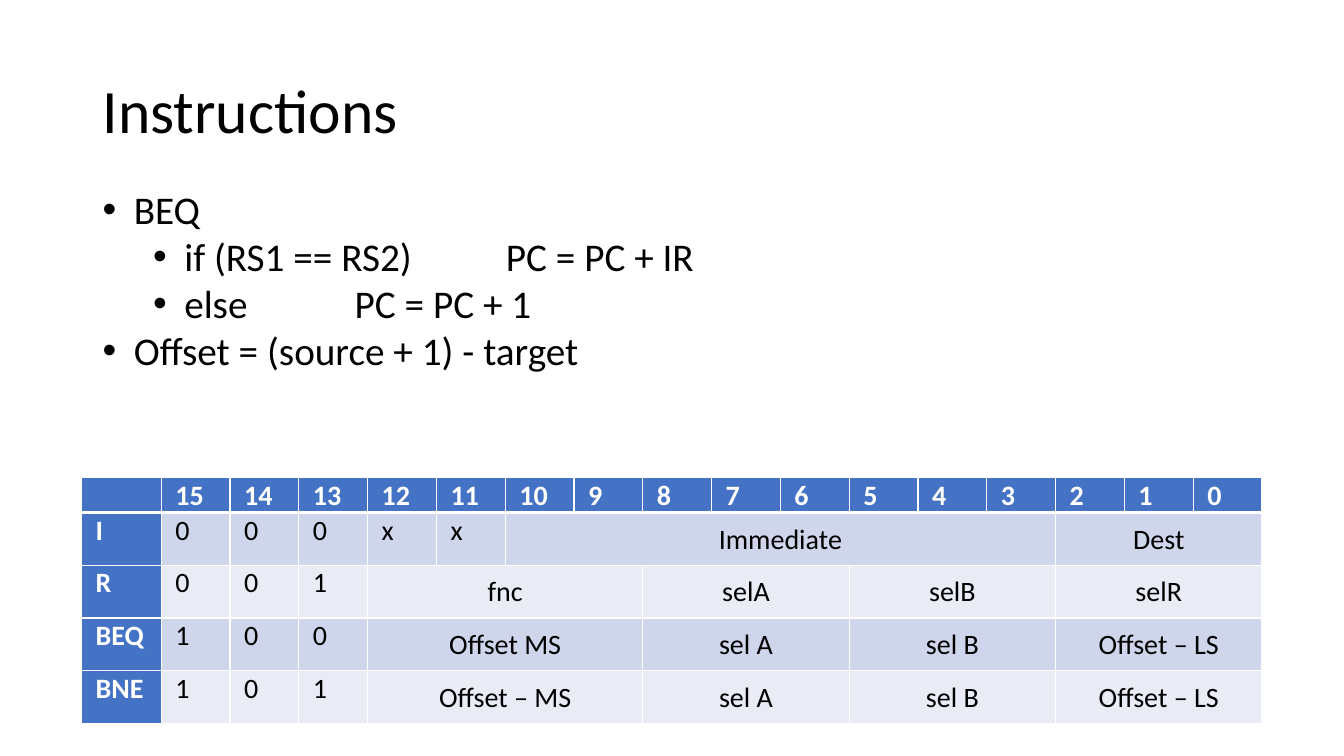
from lxml import etree
from pptx import Presentation
from pptx import util as u
from pptx.dml.color import RGBColor
from pptx.enum import text
from pptx.oxml import ns

BLACK = RGBColor(0x00, 0x00, 0x00)
WHITE = RGBColor(0xFF, 0xFF, 0xFF)
BLUE = RGBColor(0x44, 0x72, 0xC4)
BANDS = RGBColor(0xCF, 0xD5, 0xEA), RGBColor(0xE9, 0xEB, 0xF5)
FONT = "Calibri"

BULLETS = [
    (0, "BEQ"),
    (1, "if (RS1 == RS2)\t\tPC = PC + IR"),
    (1, "else\t\t\tPC = PC + 1"),
    (0, "Offset = (source + 1) - target"),
]

# Each field is its wording and the number of bits it takes up.
BITS = 16
FORMATS = [
    ("I", [("0", 1), ("0", 1), ("0", 1), ("x", 1), ("x", 1),
           ("Immediate", 8), ("Dest", 3)]),
    ("R", [("0", 1), ("0", 1), ("1", 1),
           ("fnc", 4), ("selA", 3), ("selB", 3), ("selR", 3)]),
    ("BEQ", [("1", 1), ("0", 1), ("0", 1), ("Offset MS", 4),
             ("sel A", 3), ("sel B", 3), ("Offset – LS", 3)]),
    ("BNE", [("1", 1), ("0", 1), ("1", 1), ("Offset – MS", 4),
             ("sel A", 3), ("sel B", 3), ("Offset – LS", 3)]),
]
LABEL_WIDTH = u.Inches(0.79)
HEADER_HEIGHT, FORMAT_HEIGHT = u.Inches(0.33), u.Inches(0.52)


def add_run(paragraph, wording, size, color=BLACK, bold=False):
    run = paragraph.add_run()
    run.text = wording
    run.font.name, run.font.size, run.font.bold = FONT, u.Pt(size), bold
    run.font.color.rgb = color


def add_title(slide, box, wording):
    frame = slide.shapes.add_textbox(*box).text_frame
    frame.word_wrap = True
    frame.vertical_anchor = text.MSO_ANCHOR.MIDDLE
    heading = frame.paragraphs[0]
    heading.line_spacing = 0.9
    add_run(heading, wording, 44)


def add_bullets(slide, box, bullets):
    frame = slide.shapes.add_textbox(*box).text_frame
    frame.word_wrap = True
    for index, (level, wording) in enumerate(bullets):
        point = frame.paragraphs[0] if index == 0 else frame.add_paragraph()
        point.level = level
        props = point._p.get_or_add_pPr()
        props.set("marL", str(u.Inches(0.31 + 0.5 * level)))
        props.set("indent", str(u.Inches(-0.31)))
        etree.SubElement(props, ns.qn("a:buFont")).set("typeface", "Arial")
        etree.SubElement(props, ns.qn("a:buChar")).set("char", "•")
        add_run(point, wording, 28)


def style_cell(cell, fill, top=1, bottom=1):
    """Fill the cell and rule it in white, with line widths in points."""
    props = cell._tc.get_or_add_tcPr()
    for side, width in (("L", 1), ("R", 1), ("T", top), ("B", bottom)):
        line = etree.SubElement(props, ns.qn(f"a:ln{side}"), w=str(u.Pt(width)))
        paint = etree.SubElement(line, ns.qn("a:solidFill"))
        etree.SubElement(paint, ns.qn("a:srgbClr"), val=str(WHITE))
    cell.fill.solid()
    cell.fill.fore_color.rgb = fill


def write_cell(cell, wording, color=BLACK, bold=False, wide=False):
    across, down = (0.18, 0.09) if wide else (0.14, 0)
    cell.margin_left = cell.margin_right = u.Inches(across)
    cell.margin_top = cell.margin_bottom = u.Inches(down)
    line = cell.text_frame.paragraphs[0]
    line.line_spacing = 1.03
    if wide:
        line.alignment = text.PP_ALIGN.CENTER
    if wording:
        add_run(line, wording, 20, color, bold)


def add_format_table(slide, box, formats):
    table = slide.shapes.add_table(len(formats) + 1, BITS + 1, *box).table
    table.columns[0].width = LABEL_WIDTH
    for bit in range(BITS):
        table.columns[bit + 1].width = (box[2] - LABEL_WIDTH) // BITS

    table.rows[0].height = HEADER_HEIGHT
    for column in range(BITS + 1):
        cell = table.cell(0, column)
        style_cell(cell, BLUE, bottom=3)
        write_cell(cell, str(BITS - column) if column else "", WHITE, True)

    for row, (label, fields) in enumerate(formats, start=1):
        table.rows[row].height = FORMAT_HEIGHT
        for column in range(BITS + 1):
            style_cell(table.cell(row, column),
                       BANDS[(row - 1) % 2] if column else BLUE,
                       top=3 if row == 1 else 1)
        write_cell(table.cell(row, 0), label, WHITE, True)
        column = 1
        for wording, bits in fields:
            cell = table.cell(row, column)
            if bits > 1:
                cell.merge(table.cell(row, column + bits - 1))
            write_cell(cell, wording, wide=bits > 1)
            column += bits


def main():
    deck = Presentation()
    deck.slide_width, deck.slide_height = u.Inches(13.33), u.Inches(7.5)
    slide = deck.slides.add_slide(deck.slide_layouts[6])

    def box(*inches):
        return [u.Inches(length) for length in inches]

    add_title(slide, box(0.92, 0.4, 11.5, 1.45), "Instructions")
    add_bullets(slide, box(0.92, 1.79, 11.5, 1.99), BULLETS)
    add_format_table(slide, box(0.81, 4.74, 11.71, 2.41), FORMATS)
    deck.save("out.pptx")


if __name__ == "__main__":
    main()
